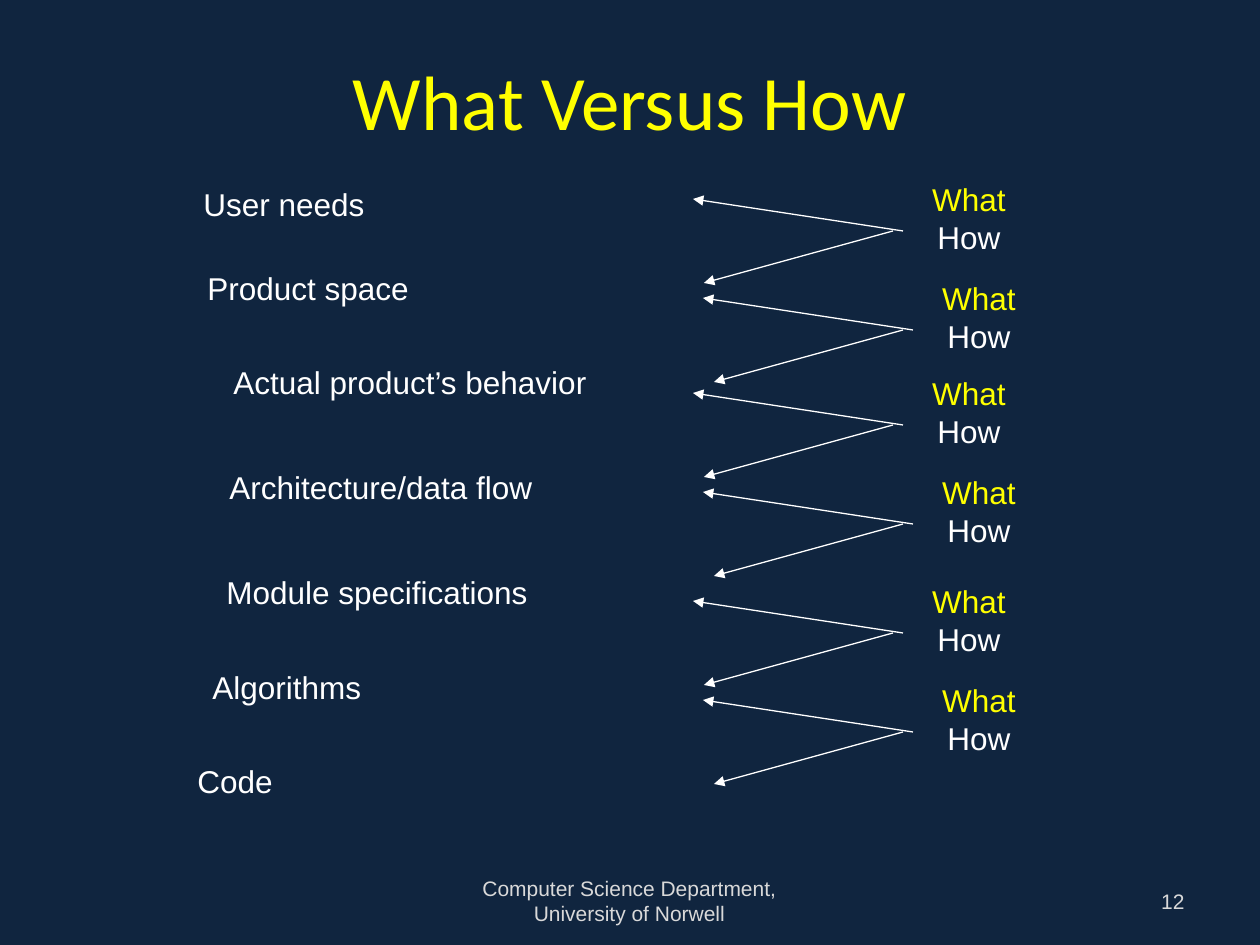
import pptx
import pptx.dml.color
import pptx.enum.shapes
import pptx.enum.text
import pptx.util
from lxml import etree

SCALE = 914400 / 126
HUES = {"back": "10253F", "gold": "FFFF00", "white": "FFFFFF", "grey": "D9D9D9"}
NS = "http://schemas.openxmlformats.org/drawingml/2006/main"
ALIGN = pptx.enum.text.PP_ALIGN
ANCHOR = pptx.enum.text.MSO_ANCHOR
FIT = pptx.enum.text.MSO_AUTO_SIZE


def px(size):
    return pptx.util.Emu(round(size * SCALE))


def hue(name):
    return pptx.dml.color.RGBColor.from_string(HUES[name])


def text(slide, box, lines, font="Arial", size=18, hues=("white",),
         align=ALIGN.LEFT, anchor=ANCHOR.TOP, wrap=False):
    frame = slide.shapes.add_textbox(*map(px, box)).text_frame
    frame.word_wrap = wrap
    frame.auto_size = FIT.NONE if wrap else FIT.SHAPE_TO_FIT_TEXT
    frame.vertical_anchor = anchor
    frame.text = "\n".join(lines)
    for para, name in zip(frame.paragraphs, hues):
        para.alignment = align
        style = para.runs[0].font
        style.name = font
        style.size = pptx.util.Pt(size)
        style.color.rgb = hue(name)


def arrow(slide, start, end):
    kind = pptx.enum.shapes.MSO_CONNECTOR.STRAIGHT
    line = slide.shapes.add_connector(kind, *map(px, start + end))
    line.line.color.rgb = hue("white")
    line.line.width = pptx.util.Pt(0.75)
    etree.SubElement(line.line._get_or_add_ln(), f"{{{NS}}}tailEnd", type="triangle")
    etree.SubElement(line._element.spPr, f"{{{NS}}}effectLst")


def title(slide, box):
    text(slide, box, ["What Versus How"], font="Calibri", size=44,
         hues=["gold"], align=ALIGN.CENTER, anchor=ANCHOR.MIDDLE, wrap=True)


def stages(slide, box):
    left, top = box
    rows = [
        ("User needs", 6, 0, 188, ALIGN.LEFT),
        ("Product space", 10, 84, 228, ALIGN.LEFT),
        ("Actual product’s behavior", 36, 178, 380, ALIGN.LEFT),
        ("Architecture/data flow", 31, 283, 330, ALIGN.CENTER),
        ("Module specifications", 28, 388, 328, ALIGN.CENTER),
        ("Algorithms", 15, 483, 176, ALIGN.LEFT),
        ("Code", 0, 577, 102, ALIGN.LEFT),
    ]
    for label, x, y, width, align in rows:
        text(slide, (left + x, top + y, width, 50), [label], align=align)


def fork(slide, box):
    x, y = box
    arrow(slide, (x + 210, y + 32), (x, y))
    arrow(slide, (x + 200, y + 32), (x + 11, y + 84))
    text(slide, (x + 225, y - 25, 102, 88), ["What", "How"],
         hues=["gold", "white"], align=ALIGN.CENTER)


def forks(slide, box):
    left, top = box
    for y in (0, 194, 402):
        fork(slide, (left, top + y))
        fork(slide, (left + 10, top + y + 99))


def footer(slide, box):
    left, top, width, height = box
    style = dict(size=12, hues=["grey"], anchor=ANCHOR.MIDDLE, wrap=True)
    text(slide, (left, top, 399, height),
         ["Computer Science Department, University of Norwell"],
         align=ALIGN.CENTER, **style)
    text(slide, (left + width - 294, top, 294, height), ["12"],
         align=ALIGN.RIGHT, **style)


def main():
    deck = pptx.Presentation()
    deck.slide_width, deck.slide_height = px(1260), px(945)
    slide = deck.slides.add_slide(deck.slide_layouts[6])
    fill = slide.background.fill
    fill.solid()
    fill.fore_color.rgb = hue("back")
    title(slide, (94, 21, 1072, 158))
    stages(slide, (185, 179))
    forks(slide, (693, 199))
    footer(slide, (430, 876, 767, 50))
    deck.save("out.pptx")


if __name__ == "__main__":
    main()
